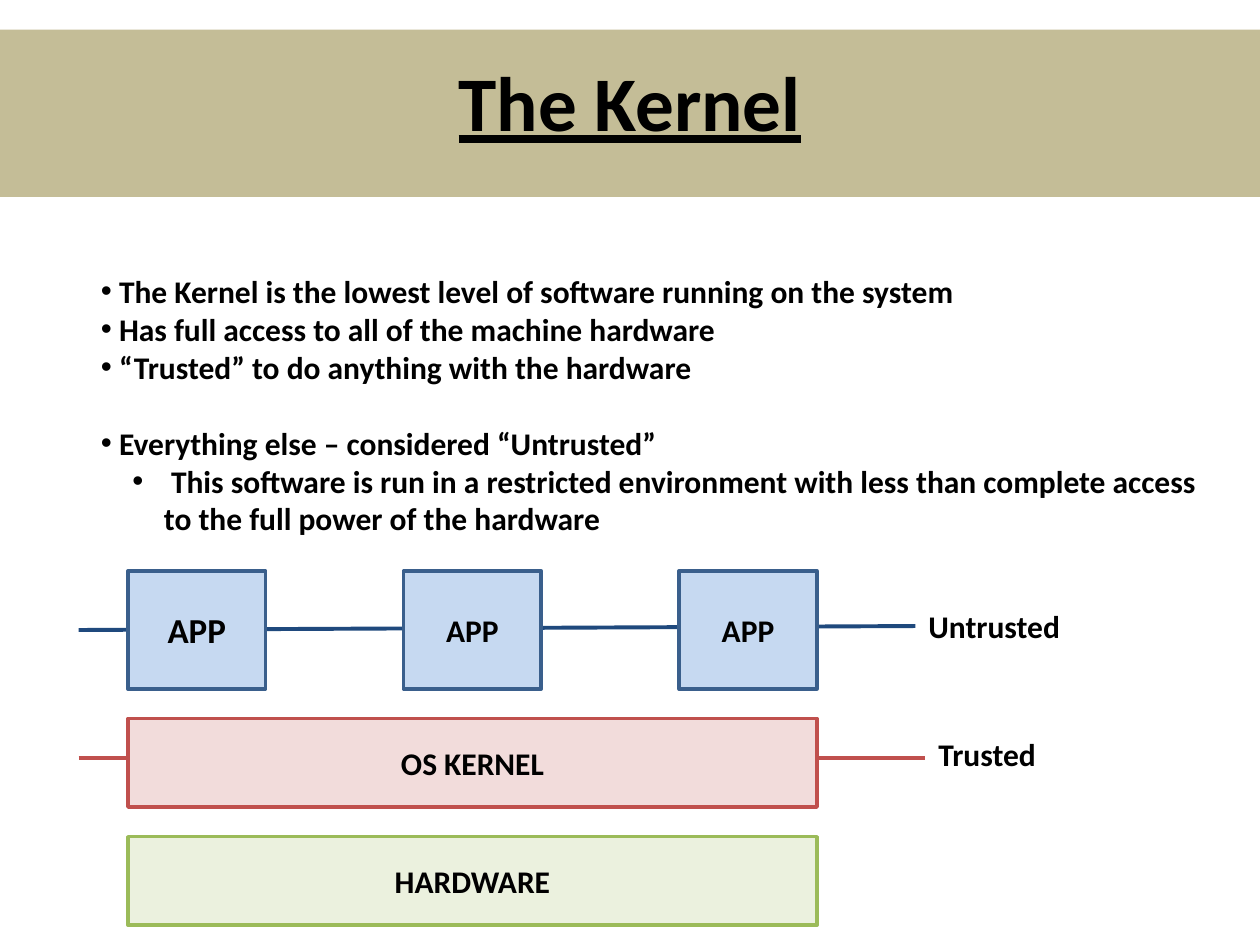
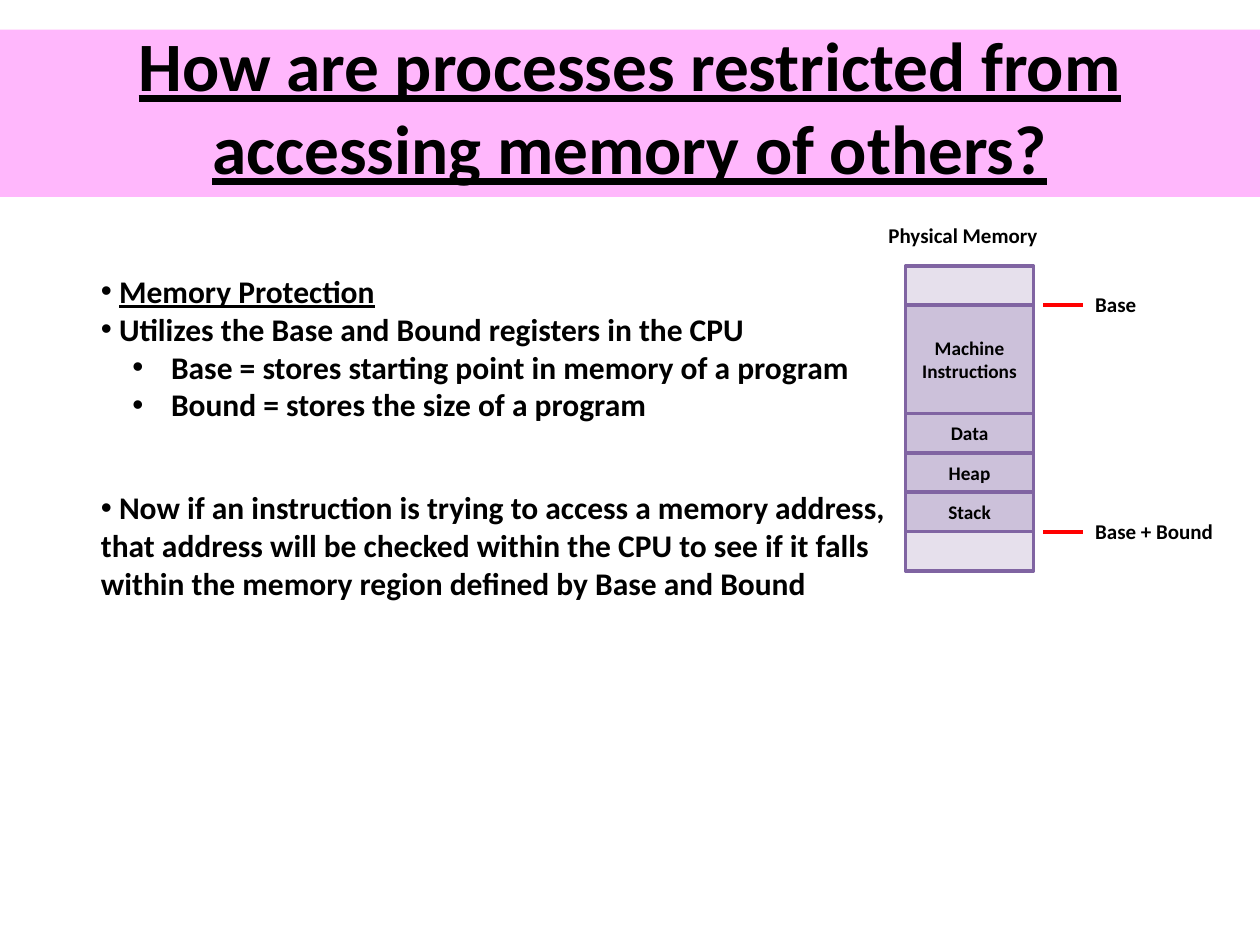
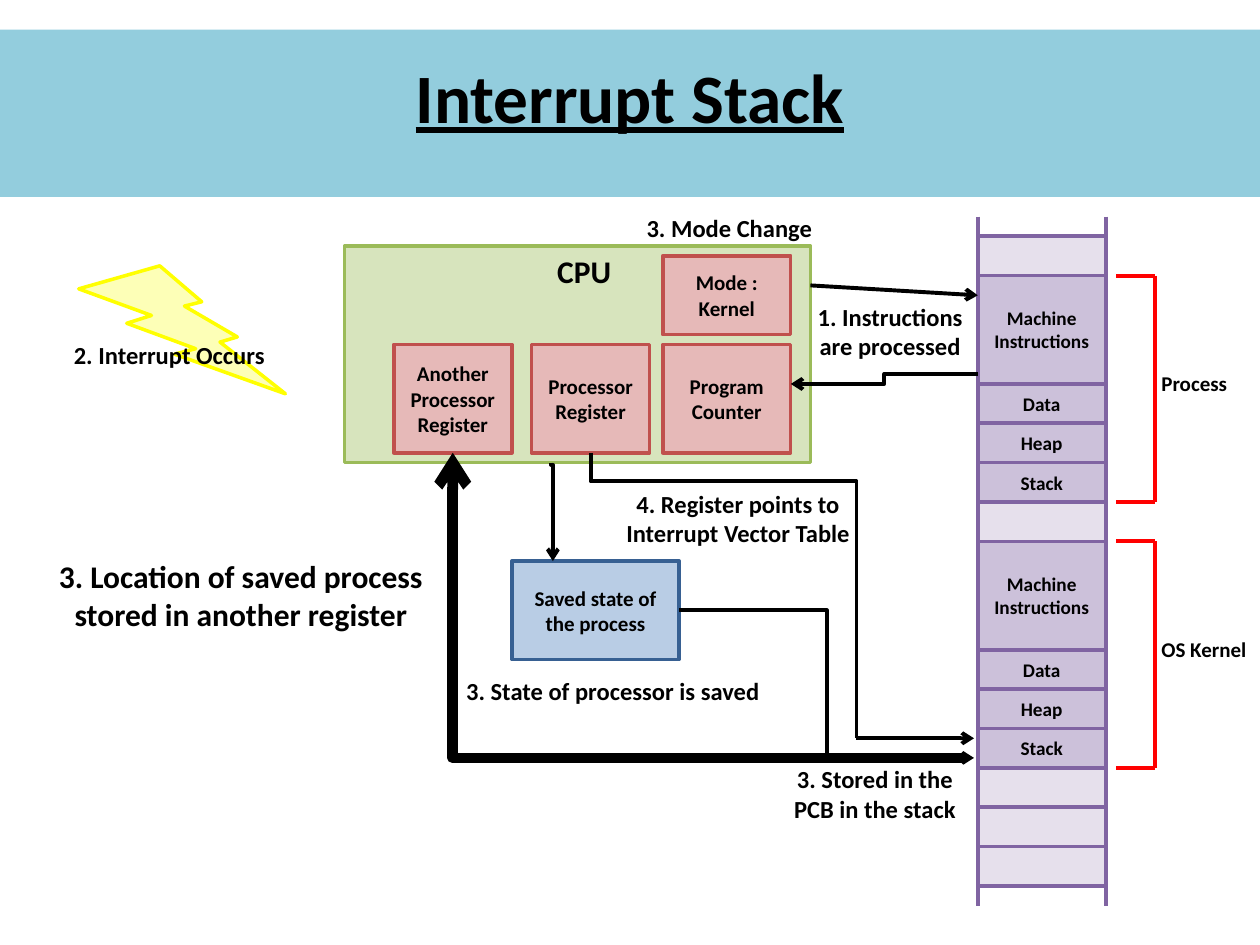
import pptx
import pptx.dml.color
import pptx.enum.shapes
import pptx.enum.text
import pptx.util
import lxml.etree

Pt = pptx.util.Pt
SHAPES = pptx.enum.shapes.MSO_SHAPE
CONNECTORS = pptx.enum.shapes.MSO_CONNECTOR
ALIGN = pptx.enum.text.PP_ALIGN
ANCHOR = pptx.enum.text.MSO_ANCHOR
AUTO_SIZE = pptx.enum.text.MSO_AUTO_SIZE
DRAWING = "{http://schemas.openxmlformats.org/drawingml/2006/main}"

# Shared look: (fill, line) for each kind of box, line colours, title style
FONT = "Calibri"
BLACK, RED, NAVY, BRICK, PURPLE = "000000", "FF0000", "1F497D", "C0504D", "8064A2"
STYLES = {
    "app": ("C6D9F1", "3A5F8C"),
    "kernel": ("F2DCDB", BRICK),
    "hardware": ("EBF1DE", "9BBB59"),
    "used": ("CCC1DA", PURPLE),
    "free": ("E6E0EC", PURPLE),
    "cpu": ("D7E4BD", "9BBB59"),
    "register": ("E6B9B8", BRICK),
    "saved": ("B9CDE5", "376092"),
    "bolt": ("FDFFB7", "FFFF00"),
}
BOX_LINE, CONNECTOR_LINE, THICK_LINE = 2, 2.25, 6
BAND = (0, 16.88, 720, 95.62)
TITLE_LEFT, TITLE_WIDTH, TITLE_HEIGHT = 16.88, 686.25, 67.5
LINE_HEIGHT = 1.22

# Titles: text, band colour, top, size
KERNEL_TITLE = ("The Kernel", "C4BD97", 50.6, 44.1)
MEMORY_TITLE = ("How are processes restricted from accessing memory of others?",
                "FFB7FC", 50.6, 39.6)
INTERRUPT_TITLE = ("Interrupt Stack", "93CDDD", 45, 39.6)

# Bullets: level, text, extra format
KERNEL_BULLETS = [
    (0, "The Kernel is the lowest level of software running on the system", {}),
    (0, "Has full access to all of the machine hardware", {}),
    (0, "“Trusted” to do anything with the hardware", {}),
    (0, "Everything else – considered “Untrusted”", {"space_before": Pt(22)}),
    (1, "This software is run in a restricted environment with less than "
        "complete access to the full power of the hardware", {}),
]
MEMORY_BULLETS = [
    (0, "Memory Protection", {"underline": True}),
    (0, "Utilizes the Base and Bound registers in the CPU", {}),
    (1, "Base = stores starting point in memory of a program", {}),
    (1, "Bound = stores the size of a program", {}),
]
CHECK_BULLETS = [
    (0, "Now if an instruction is trying to access a memory address, that "
        "address will be checked within the CPU to see if it falls within "
        "the memory region defined by Base and Bound", {}),
]

# Memory stacks: each row is a text, empty where memory is free
ROW_HEIGHT, TALL_ROW_HEIGHT, ROW_WIDTH = 22.5, 61.9, 73.1
PROGRAM = ["Machine Instructions", "Data", "Heap", "Stack"]
MEMORY_ROWS = [""] + PROGRAM + [""]
INTERRUPT_ROWS = [""] + PROGRAM + [""] + PROGRAM + ["", "", ""]
BRACKETS = [("Process", 1, 53), ("OS Kernel", 6, 64)]  # text, first row, width

# Interrupt slide: style, text, left, top, width, height
CPU_BOXES = [
    ("cpu", "", 196.9, 140.6, 266.2, 123.8),
    ("register", "Mode :\nKernel", 378.75, 146.2, 73.1, 45),
    ("register", "Program Counter", 378.75, 196.9, 73.1, 61.9),
    ("register", "Processor Register", 303.75, 196.9, 67.5, 61.9),
    ("register", "Another\nProcessor Register", 225, 196.9, 67.5, 61.9),
    ("saved", "Saved state of the process", 292.5, 320.6, 95.6, 56.2),
]
# Text, left, top, width, height, size
CPU_LABELS = [
    ("CPU", 310.8, 140.6, 46, 29, 18),
    ("2. Interrupt Occurs", 34.5, 190.9, 124.6, 24.2, 14),
    ("1. Instructions are processed", 457.9, 168.8, 101.5, 41.2, 14),
    ("3. Mode Change", 362, 118.1, 109.6, 24.2, 14),
    ("3. State of processor is saved", 258.75, 382.5, 183, 24.2, 14),
    ("3. Stored in the PCB in the stack", 446.6, 433.1, 106.8, 41.2, 14),
    ("4. Register points to Interrupt Vector Table", 348.75, 275.6, 146, 41.2, 14),
    ("3. Location of saved process stored in another register",
     22.5, 315, 230.4, 51, 18),
]

presentation = pptx.Presentation()
presentation.slide_width, presentation.slide_height = Pt(720), Pt(540)


def color(hex_string):
    return pptx.dml.color.RGBColor.from_string(hex_string)


def apply(target, values):
    for name, value in values.items():
        setattr(target, name, value)


def format_font(font, size, underline=False):
    apply(font, {"name": FONT, "size": Pt(size), "bold": True, "underline": underline})
    font.color.rgb = color(BLACK)


def write(text_frame, text, size, align=ALIGN.CENTER, underline=False):
    text_frame.text = text
    for paragraph in text_frame.paragraphs:
        paragraph.alignment = align
        format_font(paragraph.runs[0].font, size, underline)


def add_box(slide, fill, line, bounds, text="", size=12, kind=SHAPES.RECTANGLE):
    shape = slide.shapes.add_shape(kind, *map(Pt, bounds))
    shape.shadow.inherit = False
    shape.fill.solid()
    shape.fill.fore_color.rgb = color(fill)
    if line:
        shape.line.color.rgb = color(line)
        shape.line.width = Pt(BOX_LINE)
    else:
        shape.line.fill.background()
    if text:
        apply(shape.text_frame, {"word_wrap": True, "vertical_anchor": ANCHOR.MIDDLE})
        write(shape.text_frame, text, size)
    return shape


def add_label(slide, text, bounds, size, align=ALIGN.CENTER, wrap=True):
    frame = slide.shapes.add_textbox(*map(Pt, bounds)).text_frame
    apply(frame, {"word_wrap": wrap, "auto_size": AUTO_SIZE.SHAPE_TO_FIT_TEXT})
    write(frame, text, size, align)


def add_line(slide, start, end, line, width=CONNECTOR_LINE, arrow=False,
             kind=CONNECTORS.STRAIGHT):
    connector = slide.shapes.add_connector(kind, *map(Pt, start + end))
    connector.line.color.rgb = color(line)
    connector.line.width = Pt(width)
    properties = connector.element.spPr
    if arrow:
        line_element = properties.find(DRAWING + "ln")
        lxml.etree.SubElement(line_element, DRAWING + "tailEnd", type="arrow")
    lxml.etree.SubElement(properties, DRAWING + "effectLst")
    return connector


def add_elbow(slide, start, end, bend=0.5, width=CONNECTOR_LINE, arrow=True,
              downward=False, single_bend=False):
    """Elbow line; a downward one leaves its start vertically, to the lower right."""
    box_start, box_end = start, end
    if downward:
        center_x, center_y = (start[0] + end[0]) / 2, (start[1] + end[1]) / 2
        half_width, half_height = (end[1] - start[1]) / 2, (end[0] - start[0]) / 2
        box_start = (center_x - half_width, center_y - half_height)
        box_end = (center_x + half_width, center_y + half_height)
    connector = add_line(slide, box_start, box_end, BLACK, width, arrow, CONNECTORS.ELBOW)
    properties = connector.element.spPr
    if downward:
        transform = properties.find(DRAWING + "xfrm")
        transform.set("rot", str(270 * 60000))
        transform.set("flipH", "1")
    geometry = properties.find(DRAWING + "prstGeom")
    if single_bend:
        geometry.set("prst", "bentConnector2")
    else:
        lxml.etree.SubElement(geometry.find(DRAWING + "avLst"), DRAWING + "gd",
                              name="adj1", fmla=f"val {round(bend * 100000)}")


def add_bullets(slide, bullets, bounds, size=18):
    frame = slide.shapes.add_textbox(*map(Pt, bounds)).text_frame
    apply(frame, {"word_wrap": True, "auto_size": AUTO_SIZE.SHAPE_TO_FIT_TEXT})
    for index, (level, text, extra) in enumerate(bullets):
        paragraph = frame.add_paragraph() if index else frame.paragraphs[0]
        paragraph.level = level
        paragraph.space_before = extra.get("space_before", Pt(0))
        for part, underline in ((" ", False), (text, extra.get("underline", False))):
            run = paragraph.add_run()
            run.text = part
            format_font(run.font, size, underline)
        properties = paragraph._p.get_or_add_pPr()
        properties.set("marL", str(Pt(36 * level)))
        properties.set("indent", str(Pt(-18 * level)))
        lxml.etree.SubElement(properties, DRAWING + "buFont", typeface="Arial")
        lxml.etree.SubElement(properties, DRAWING + "buChar", char="•")


def add_titled_slide(text, band_color, top, size):
    slide = presentation.slides.add_slide(presentation.slide_layouts[5])
    title = slide.shapes.title
    apply(title, {"left": Pt(TITLE_LEFT), "top": Pt(top),
                  "width": Pt(TITLE_WIDTH), "height": Pt(TITLE_HEIGHT)})
    # The deep lower inset lifts the text by half a line
    apply(title.text_frame, {"word_wrap": True, "auto_size": AUTO_SIZE.NONE,
                             "vertical_anchor": ANCHOR.MIDDLE,
                             "margin_bottom": Pt(3.6 + size * LINE_HEIGHT)})
    write(title.text_frame, text, size, underline=True)
    band = add_box(slide, band_color, None, BAND)
    title.element.addprevious(band.element)
    return slide


def add_stack(slide, rows, left, top):
    """Draw the rows downward and return every row edge."""
    edges = [top]
    for text in rows:
        height = TALL_ROW_HEIGHT if text == PROGRAM[0] else ROW_HEIGHT
        style = STYLES["used" if text else "free"]
        add_box(slide, *style, (left, edges[-1], ROW_WIDTH, height), text, 11)
        edges.append(edges[-1] + height)
    return edges


# Slide 1: kernel layers
slide = add_titled_slide(*KERNEL_TITLE)
add_line(slide, (45, 433.1), (528.75, 433.1), BRICK)
add_line(slide, (45, 360), (523.1, 357.75), NAVY)
add_bullets(slide, KERNEL_BULLETS, (50.6, 151.9, 646.9, 247))
LAYER_LEFT, LAYER_WIDTH, APP_WIDTH = 73.1, 393.75, 78.75
app_step = (LAYER_WIDTH - APP_WIDTH) / 2
for index, size in enumerate((20, 18, 18)):
    bounds = (LAYER_LEFT + index * app_step, 326.25, APP_WIDTH, 67.5)
    add_box(slide, *STYLES["app"], bounds, "APP", size)
for style, text, top in (("kernel", "OS KERNEL", 410.6), ("hardware", "HARDWARE", 478.1)):
    add_box(slide, *STYLES[style], (LAYER_LEFT, top, LAYER_WIDTH, 50.6), text, 18)
add_label(slide, "Untrusted", (523.1, 343.1, 90, 29), 18, wrap=False)
add_label(slide, "Trusted", (528.75, 416.25, 70.6, 29), 18, wrap=False)

# Slide 2: memory protection
slide = add_titled_slide(*MEMORY_TITLE)
add_bullets(slide, MEMORY_BULLETS, (50.6, 151.9, 613.1, 203.6))
add_bullets(slide, CHECK_BULLETS, (50.6, 275.6, 466.9, 94.5))
edges = add_stack(slide, MEMORY_ROWS, 517.5, 151.9)
add_label(slide, "Physical Memory", (500.6, 123.75, 123.8, 21.8), 12, ALIGN.LEFT)
for text, edge in (("Base", edges[1]), ("Base + Bound", edges[5])):
    add_line(slide, (596.25, edge), (618.75, edge), RED)
    add_label(slide, text, (618.75, edge - 11.2, 123.8, 21.8), 12, ALIGN.LEFT)

# Slide 3: interrupt handling
slide = add_titled_slide(*INTERRUPT_TITLE)
for style, text, *bounds in CPU_BOXES:
    add_box(slide, *STYLES[style], bounds, text)
add_box(slide, *STYLES["bolt"], (45, 151.9, 118.1, 73.1), kind=SHAPES.LIGHTNING_BOLT)

# Memory stack with its side rails and brackets
STACK_LEFT = 558.75
edges = add_stack(slide, INTERRUPT_ROWS, STACK_LEFT, 135)
for rail in (STACK_LEFT, STACK_LEFT + ROW_WIDTH):
    add_line(slide, (rail, 123.75), (rail, 517.5), PURPLE)
BRACKET_LEFT, BRACKET_RIGHT = 637.9, 660.2
for text, first_row, width in BRACKETS:
    top, bottom = edges[first_row], edges[first_row + len(PROGRAM)]
    for edge in (top, bottom):
        add_line(slide, (BRACKET_LEFT, edge), (BRACKET_RIGHT, edge), RED)
    add_line(slide, (BRACKET_RIGHT, top), (BRACKET_RIGHT, bottom), RED)
    middle = (top + bottom) / 2
    add_label(slide, text, (656.6, middle - 14, width, 21.8), 12, ALIGN.LEFT)

# Flow between the CPU, the saved state and the stack
add_line(slide, (463.1, 163.1), (STACK_LEFT, 168.75), BLACK, arrow=True)
add_elbow(slide, (STACK_LEFT, 213.75), (451.9, 219.4))
add_elbow(slide, (314.8, 264.4), (315.9, 320.6), bend=0.02, downward=True)
add_elbow(slide, (388.1, 348.75), (556.6, 433.1))
add_elbow(slide, (337.5, 258.75), (489.4, 421.9), bend=0.1, arrow=False, downward=True)
add_line(slide, (489.4, 421.9), (556.6, 421.9), BLACK, arrow=True)
add_elbow(slide, (551.25, 433.1), (258.75, 258.75), width=THICK_LINE, single_bend=True)
for text, *bounds, size in CPU_LABELS:
    add_label(slide, text, bounds, size)

presentation.save("out.pptx")
